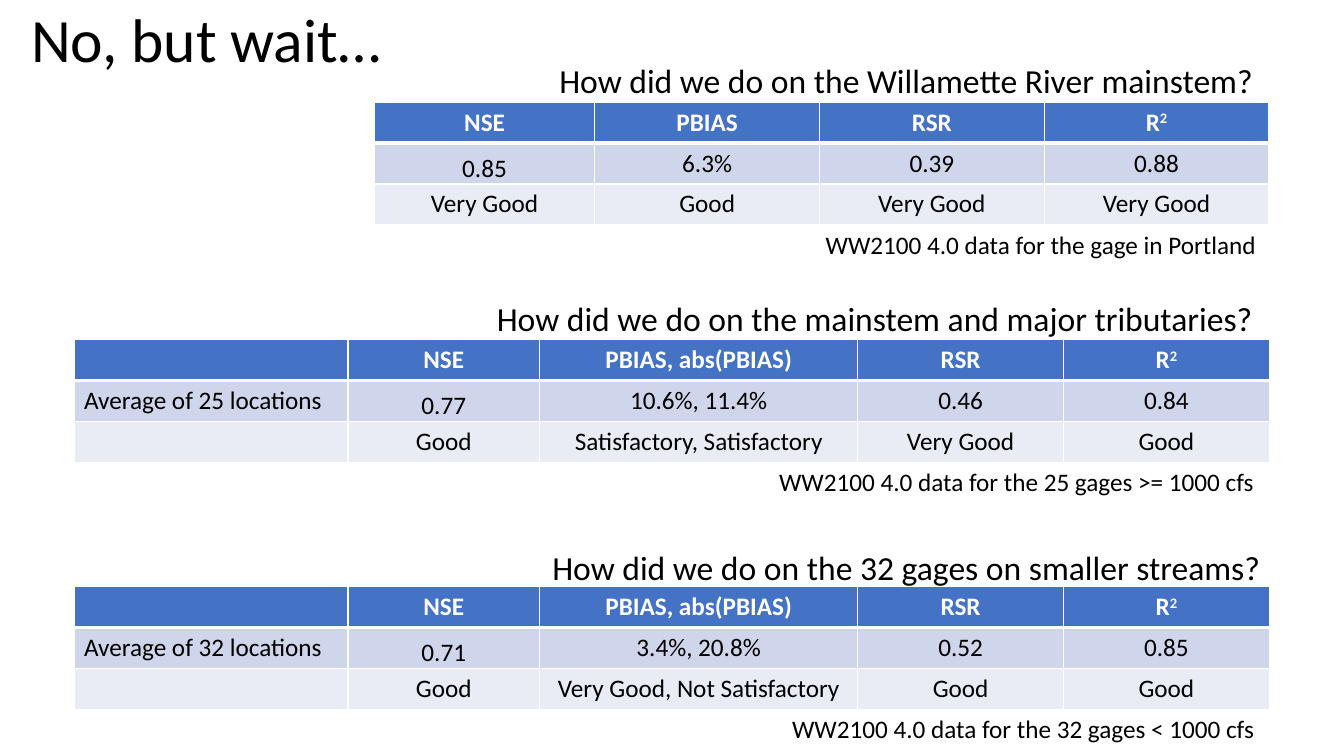
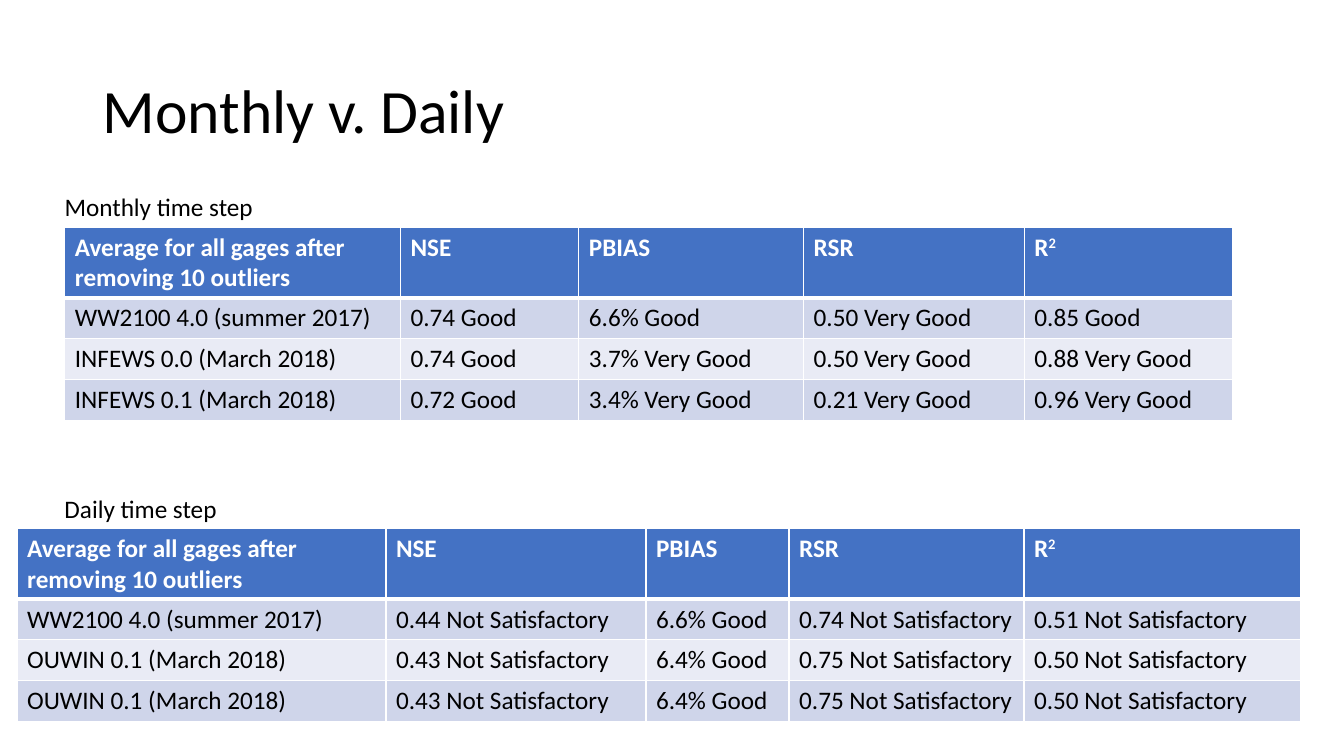
from lxml import etree
from pptx import Presentation
from pptx import util as u
from pptx.dml.color import RGBColor
from pptx.enum import text
from pptx.oxml import ns

FONT = "Calibri"
BLACK, WHITE = "000000", "FFFFFF"
HEADER, BANDS = "4472C4", ("CFD5EA", "E9EBF5")
ROW_HEIGHT, TALL_ROW = 29.2, 50
QUESTION_SIZE, BODY_SIZE, TITLE_SIZE = 24, 18, 44


def rgb(value):
    return RGBColor.from_string(value)


def set_borders(cell, top, bottom):
    """Draw white cell borders; top and bottom are widths in points."""
    tc_pr = cell._tc.get_or_add_tcPr()
    for side, width in (("L", 1), ("R", 1), ("T", top), ("B", bottom)):
        line = etree.SubElement(tc_pr, ns.qn(f"a:ln{side}"), w=str(u.Pt(width)))
        fill = etree.SubElement(line, ns.qn("a:solidFill"))
        etree.SubElement(fill, ns.qn("a:srgbClr"), val=WHITE)


class Deck:
    def __init__(self):
        self.prs = Presentation()
        self.prs.slide_width, self.prs.slide_height = u.Pt(960), u.Pt(540)
        self.s = None

    def slide(self, title, left, top):
        self.s = self.prs.slides.add_slide(self.prs.slide_layouts[6])
        tf = self.box(title, left, top, 828, 104.4, TITLE_SIZE, wrap=True)
        tf.vertical_anchor = text.MSO_ANCHOR.MIDDLE
        tf.paragraphs[0].line_spacing = 0.9

    def add_words(self, p, words, size, color=BLACK, bold=False):
        """Add words run by run; what follows a ^ is superscript."""
        for i, part in enumerate(words.split("^")):
            r = p.add_run()
            r.text = part
            r.font.name, r.font.size, r.font.bold = FONT, u.Pt(size), bold
            r.font.color.rgb = rgb(color)
            if i:
                r.font._element.set("baseline", "30000")

    def box(self, words, left, top, width, height, size, wrap=False):
        sp = self.s.shapes.add_textbox(*map(u.Pt, (left, top, width, height)))
        tf = sp.text_frame
        tf.word_wrap = wrap
        self.add_words(tf.paragraphs[0], words, size)
        return tf

    def question(self, words, left, top, width):
        self.box(words, left, top, width, 36.4, QUESTION_SIZE)

    def note(self, words, left, top, width):
        self.box(words, left, top, width, 29.1, BODY_SIZE)

    def table(self, rows, left, top, widths, header_height=ROW_HEIGHT,
              centered=False, low_cell=None):
        """Add a banded table; low_cell (row, column) sits at its cell's foot."""
        heights = [header_height] + [ROW_HEIGHT] * (len(rows) - 1)
        frame = self.s.shapes.add_table(
            len(rows), len(widths),
            *map(u.Pt, (left, top, sum(widths), sum(heights))))
        table = frame.table
        for column, width in zip(table.columns, widths):
            column.width = u.Pt(width)
        for i, (row, height) in enumerate(zip(rows, heights)):
            table.rows[i].height = u.Pt(height)
            for j, words in enumerate(row):
                cell = table.cell(i, j)
                set_borders(cell, 3 if i == 1 else 1, 3 if i == 0 else 1)
                cell.fill.solid()
                cell.fill.fore_color.rgb = rgb(BANDS[(i - 1) % 2] if i else HEADER)
                p = cell.text_frame.paragraphs[0]
                # Row labels stay on the left
                if centered and not words.startswith("Average"):
                    p.alignment = text.PP_ALIGN.CENTER
                if words:
                    self.add_words(p, words, BODY_SIZE, BLACK if i else WHITE, i == 0)
                if (i, j) == low_cell:
                    cell.vertical_anchor = text.MSO_ANCHOR.BOTTOM
                    cell.margin_left = cell.margin_right = cell.margin_top = u.Pt(0.7)
                    cell.margin_bottom = 0


def build_fit_slide(deck):
    deck.slide("No, but wait…", 15.1, -21.6)

    deck.question("How did we do on the Willamette River mainstem?", 392.4, 39.6, 514.8)
    deck.table([("NSE", "PBIAS", "RSR", "R^2"),
                ("0.85", "6.3%", "0.39", "0.88"),
                ("Very Good", "Good", "Very Good", "Very Good")],
               267.4, 73, [157.5] + [160.5] * 3, centered=True, low_cell=(1, 0))
    deck.note("WW2100 4.0 data for the gage in Portland", 582.7, 160, 324)

    groups = [
        (("How did we do on the mainstem and major tributaries?", 347.8, 209.5, 559.4),
         ("Average of 25 locations", "0.77", "10.6%, 11.4%", "0.46", "0.84"),
         ("", "Good", "Satisfactory, Satisfactory", "Very Good", "Good"), 242.6,
         ("WW2100 4.0 data for the 25 gages >= 1000 cfs", 549.4, 329.8, 357.8)),
        (("How did we do on the 32 gages on smaller streams?", 387.4, 387.4, 524.9),
         ("Average of 32 locations", "0.71", "3.4%, 20.8%", "0.52", "0.85"),
         ("", "Good", "Very Good, Not Satisfactory", "Good", "Good"), 419,
         ("WW2100 4.0 data for the 32 gages < 1000 cfs", 558.7, 506.2, 348.5)),
    ]
    header = ("", "NSE", "PBIAS, abs(PBIAS)", "RSR", "R^2")
    for question, values, ratings, top, note in groups:
        deck.question(*question)
        deck.table([header, values, ratings], 52.8, top,
                   [195.8, 136.8, 227.4, 146.8, 147.2], centered=True, low_cell=(1, 1))
        deck.note(*note)


def build_time_step_slide(deck):
    deck.slide("Monthly v. Daily", 66.2, 28.8)
    header = ("Average for all gages after removing 10 outliers",
              "NSE", "PBIAS", "RSR", "R^2")
    ouwin = ("OUWIN 0.1 (March 2018)", "0.43 Not Satisfactory", "6.4% Good",
             "0.75 Not Satisfactory", "0.50 Not Satisfactory")
    monthly = [
        ("WW2100 4.0 (summer 2017)", "0.74 Good", "6.6% Good", "0.50 Very Good", "0.85 Good"),
        ("INFEWS 0.0 (March 2018)", "0.74 Good", "3.7% Very Good", "0.50 Very Good",
         "0.88 Very Good"),
        ("INFEWS 0.1 (March 2018)", "0.72 Good", "3.4% Very Good", "0.21 Very Good",
         "0.96 Very Good"),
    ]
    daily = [
        ("WW2100 4.0 (summer 2017)", "0.44 Not Satisfactory", "6.6% Good",
         "0.74 Not Satisfactory", "0.51 Not Satisfactory"),
        ouwin, ouwin,
    ]
    deck.note("Monthly time step", 39, 133.2, 150.5)
    deck.table([header] + monthly, 46.3, 162.2, [239.8, 127.4, 160.6, 157.7, 149],
               TALL_ROW)
    deck.note("Daily time step", 39, 348.5, 124.6)
    deck.table([header] + daily, 12.2, 377.4, [263.5, 185.8, 102.2, 167.8, 197.3],
               TALL_ROW)


def main():
    deck = Deck()
    build_fit_slide(deck)
    build_time_step_slide(deck)
    deck.prs.save("out.pptx")


if __name__ == "__main__":
    main()
